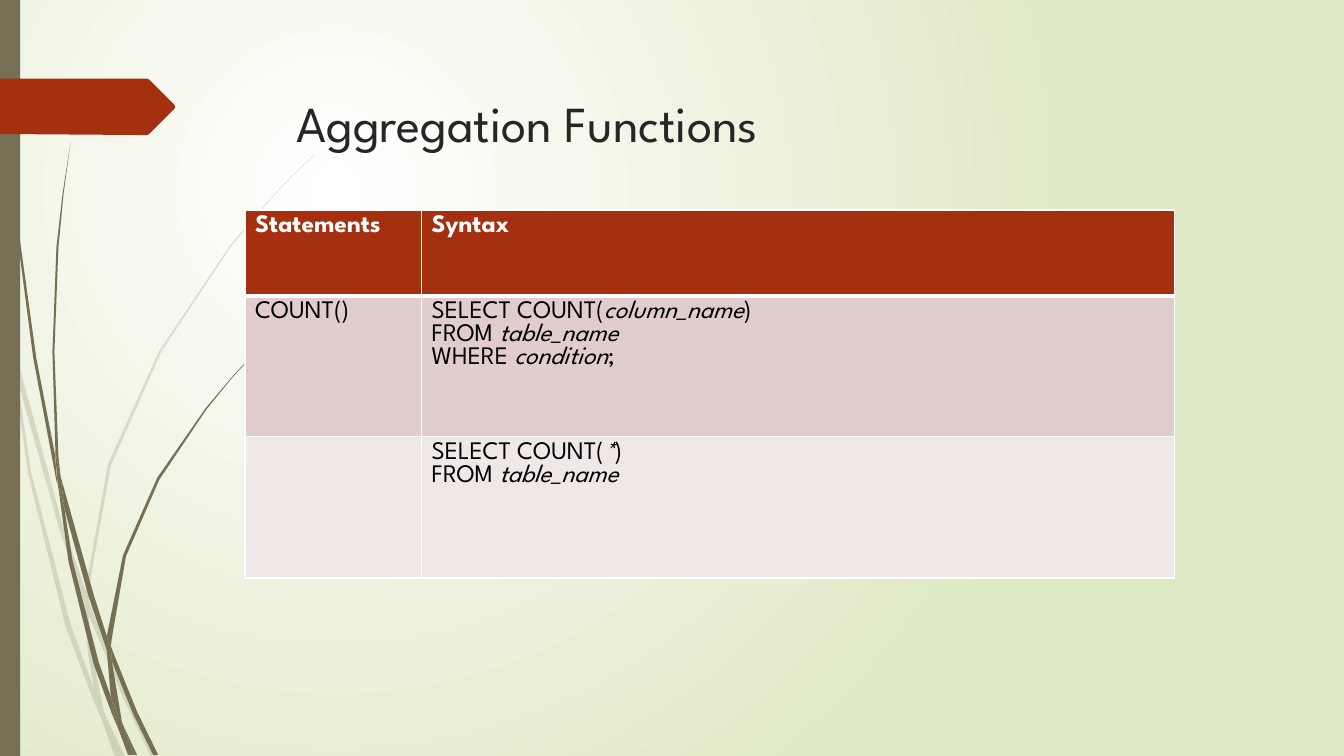
from lxml import etree
from pptx import Presentation
from pptx.dml.color import RGBColor
from pptx.enum.shapes import MSO_SHAPE
from pptx.enum.text import MSO_ANCHOR, MSO_AUTO_SIZE, PP_ALIGN
from pptx.oxml.ns import qn
from pptx.util import Pt

RECTANGLE = MSO_SHAPE.RECTANGLE
TOP, LEFT, NO_FIT = MSO_ANCHOR.TOP, PP_ALIGN.LEFT, MSO_AUTO_SIZE.NONE
FONT = "League Spartan"
OLIVE, RUST, WHITE, BLACK = "766F54", "A53010", "FFFFFF", "000000"
UNIT = Pt(0.72)  # outline points are in hundredths of an inch

PALE_BLADES = [
    "11,350 9,322 0,282 0,299 10,344",
    "58,522 84,599 85,586 62,520 14,345 17,376",
    "92,607 88,596 88,610 123,694 150,751 155,751 127,692",
    "119,751 124,751 105,711",
    "93,683 70,619 31,469 17,376 11,350 28,470 65,621 92,693 101,714 99,707",
    "84,599 87,646 93,683 96,692 105,711 103,706 91,646 88,610 88,608",
    "88,584 110,462 160,349 229,245 268,198 290,175 312,154 312,153 289,175 "
    "268,197 228,244 158,348 107,461 85,584 85,586 88,596",
    "101,714 114,751 119,751",
    "88,608 88,610 88,596 85,586 84,599",
    "96,692 93,683 99,707 101,714 119,751 105,711",
]
DARK_BLADES = [
    "7,110 17,233 33,355 56,477 57,481 55,457 55,453 36,355 19,232 8,109 5,48 4,0 3,0 4,48",
    "88,592 106,645 106,633 106,631 93,590 60,472 64,505",
    "113,649 110,641 111,656 132,708 152,749 157,749 136,706",
    "110,691 98,657 72,556 64,505 57,477 68,557 93,659 111,708 117,722 116,717",
    "60,472 58,453 54,349 58,245 63,193 70,141 62,193 56,245 52,349 55,449",
    "133,749 136,749 122,719",
    "57,477 64,505 60,472 55,449 55,453",
    "111,633 125,552 158,476 205,406 231,374 245,359 261,344 260,344 245,358 "
    "231,373 204,405 156,474 122,551 106,631 110,641",
    "117,722 127,749 131,749",
    "106,645 110,691 116,706 122,719 121,716 111,656 109,651",
    "106,645 109,651 111,656 110,641 106,631 106,633",
    "116,706 110,691 116,717 117,722 130,749 133,749 122,719",
]
TAG = "173,108 148,133 146,134 136,134 0,133 0,78 146,78 148,79 173,104 174,106"

# Each cell is a list of lines; the parts of a line alternate upright and italic.
ROWS = [
    [[("Statements",)], [("Syntax",)]],
    [[("COUNT()",)],
     [("SELECT\u00a0COUNT(", "column_name", ")"),
      ("FROM\u00a0", "table_name"),
      ("WHERE\u00a0", "condition", ";")]],
    [[], [("SELECT\u00a0COUNT(", "*", ")"), ("FROM\u00a0", "table_name")]],
]
ROW_FILLS = [RUST, "E1CDCC", "F0E8E7"]
ROW_HEIGHTS = [61.2, 100.8, 100.8]
COLUMN_SHARES = [0.19, 0.81]


def color(hex_text):
    """Turn a hex string into a colour."""
    return RGBColor.from_string(hex_text)


def paint(shape, hex_text, opacity=100):
    """Give a shape a plain fill without line or shadow."""
    shape.shadow.inherit = False
    shape.line.fill.background()
    shape.fill.solid()
    shape.fill.fore_color.rgb = color(hex_text)
    if opacity < 100:
        tone = shape.fill._xPr.find(f".//{qn('a:srgbClr')}")
        etree.SubElement(tone, qn("a:alpha")).set("val", str(opacity * 1000))


def format_run(run, size, hex_text, bold=False, italic=False):
    """Set the font of one run."""
    run.font.name, run.font.size = FONT, Pt(size)
    run.font.bold, run.font.italic = bold, italic
    run.font.color.rgb = color(hex_text)


def add_background(slide):
    """Fill the background with a round glow in the upper left."""
    fill = slide.background.fill
    fill.gradient()
    for stop, hex_text, position in zip(fill.gradient_stops, (WHITE, "DFE8C4"), (0, 1)):
        stop.color.rgb = color(hex_text)
        stop.position = position
    gradient = slide.element.find(f".//{qn('a:gradFill')}")
    gradient.remove(gradient.find(qn("a:lin")))
    circle = etree.SubElement(gradient, qn("a:path"))
    circle.set("path", "circle")
    focus = etree.SubElement(circle, qn("a:fillToRect"))
    for side, share in zip("ltrb", (50, 50, 100, 100)):
        focus.set(side, str(share * 1000))


def add_outline(slide, left, top, outline, hex_text, opacity=100):
    """Draw a closed outline given as x,y pairs from the left top corner."""
    points = [tuple(map(int, pair.split(","))) for pair in outline.split()]
    builder = slide.shapes.build_freeform(*points[0], scale=UNIT)
    builder.add_line_segments(points[1:], close=True)
    paint(builder.convert_to_shape(Pt(left), Pt(top)), hex_text, opacity)


def add_decoration(slide, left, top, height):
    """Draw the grass blades, the side bar and the tag."""
    for blades, opacity in ((PALE_BLADES, 20), (DARK_BLADES, 100)):
        for blade in blades:
            add_outline(slide, left, top, blade, OLIVE, opacity)
    bar = slide.shapes.add_shape(RECTANGLE, Pt(left), Pt(top), Pt(14.4), Pt(height))
    paint(bar, OLIVE)
    add_outline(slide, left, top, TAG, RUST)


def add_title(slide, left, top, width, height):
    """Place and format the title placeholder."""
    title = slide.shapes.title
    title.left, title.top, title.width, title.height = map(Pt, (left, top, width, height))
    frame = title.text_frame
    frame.text = "Aggregation Functions"
    frame.auto_size, frame.vertical_anchor, frame.word_wrap = NO_FIT, TOP, True
    frame.margin_top = Pt(16.5)
    paragraph = frame.paragraphs[0]
    paragraph.alignment = LEFT
    format_run(paragraph.runs[0], 36, "262626")


def add_borders(cell, bottom_width, top_width):
    """Draw white borders around a cell."""
    properties = cell._tc.get_or_add_tcPr()
    widths = {"L": 1, "R": 1, "T": top_width, "B": bottom_width}
    for index, (side, width) in enumerate(widths.items()):
        border = etree.Element(qn(f"a:ln{side}"), w=str(Pt(width)))
        fill = etree.SubElement(border, qn("a:solidFill"))
        etree.SubElement(fill, qn("a:srgbClr")).set("val", WHITE)
        properties.insert(index, border)


def fill_cell(cell, lines, is_header):
    """Write the lines of a cell, with every second part in italics."""
    paragraph = cell.text_frame.paragraphs[0]
    for number, line in enumerate(lines):
        if number:
            paragraph.add_line_break()
        for index, part in enumerate(line):
            run = paragraph.add_run()
            run.text = part
            format_run(run, 18, WHITE if is_header else BLACK, is_header, index % 2 == 1)
    paragraph.font.size = Pt(18)


def add_syntax_table(slide, left, top, width):
    """Build the table of statements and their syntax."""
    frame = slide.shapes.add_table(len(ROWS), len(COLUMN_SHARES), Pt(left), Pt(top),
                                   Pt(width), Pt(sum(ROW_HEIGHTS)))
    table = frame.table
    for column, share in zip(table.columns, COLUMN_SHARES):
        column.width = Pt(round(width * share, 2))
    for index, (row, height) in enumerate(zip(table.rows, ROW_HEIGHTS)):
        row.height = Pt(height)
        for cell, lines in zip(row.cells, ROWS[index]):
            cell.fill.solid()
            cell.fill.fore_color.rgb = color(ROW_FILLS[index])
            add_borders(cell, 3 if index == 0 else 1, 3 if index == 1 else 1)
            fill_cell(cell, lines, index == 0)


def main():
    """Build the slide and save it."""
    presentation = Presentation()
    presentation.slide_width, presentation.slide_height = Pt(960), Pt(540)
    slide = presentation.slides.add_slide(presentation.slide_layouts[5])
    add_background(slide)
    add_decoration(slide, 0, 0, 540)
    add_title(slide, 204.5, 49, 702, 100.8)
    add_syntax_table(slide, 175, 150, 664)
    presentation.save("out.pptx")


main()
